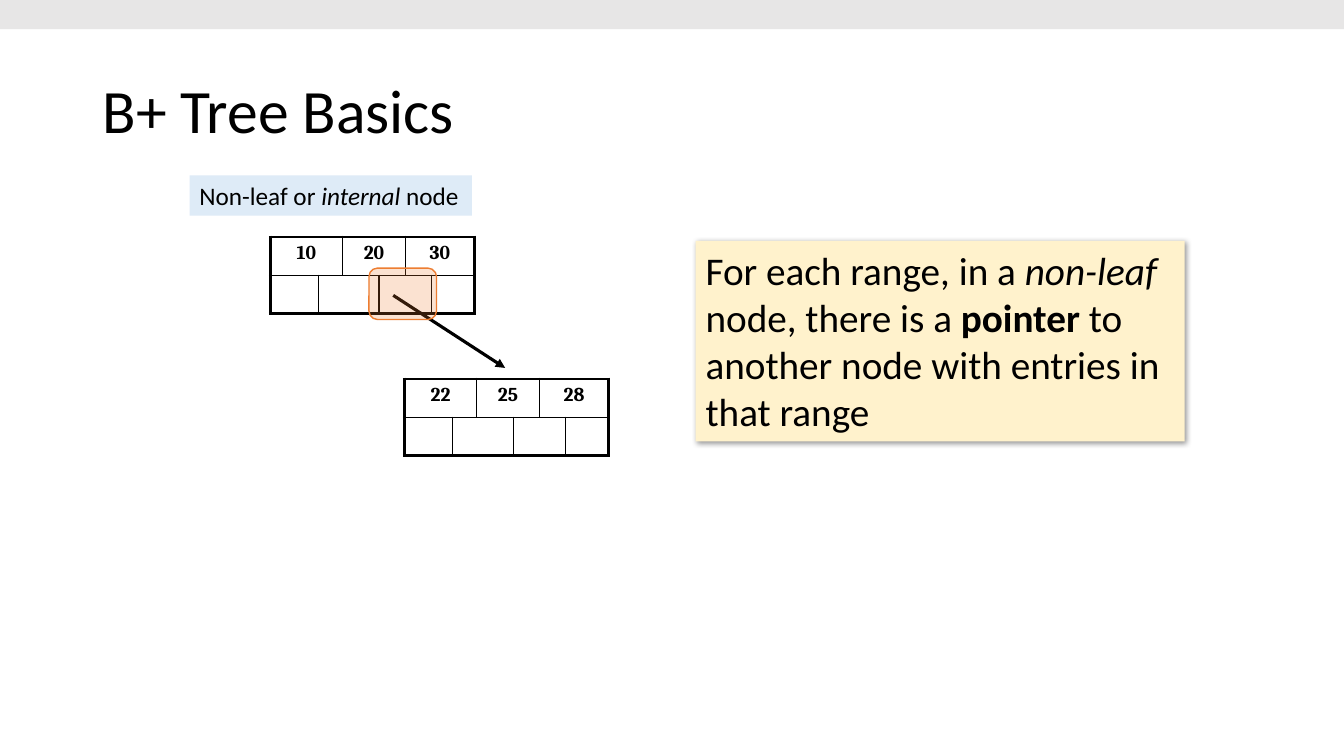
"""Build the B+ tree basics slide with two nodes and a pointer between them."""
from dataclasses import dataclass

from lxml import etree
from pptx import Presentation
from pptx.dml.color import RGBColor
from pptx.enum.shapes import MSO_CONNECTOR, MSO_SHAPE
from pptx.enum.text import MSO_ANCHOR, PP_ALIGN
from pptx.oxml.ns import qn
from pptx.util import Inches, Pt

STRAIGHT = MSO_CONNECTOR.STRAIGHT
RECTANGLE = MSO_SHAPE.RECTANGLE
ROUNDED = MSO_SHAPE.ROUNDED_RECTANGLE
MIDDLE = MSO_ANCHOR.MIDDLE
TOP = MSO_ANCHOR.TOP
LEFT = PP_ALIGN.LEFT
CENTER = PP_ALIGN.CENTER

COLORS = {
    "ink": "000000",
    "label": "DEEBF7",
    "highlight": "ED7D31",
    "callout": "FFF2CC",
    "bar": "E7E6E6",
}
COLUMN_WIDTHS = (0.48, 0.21, 0.36, 0.26, 0.26, 0.43)
ROW_HEIGHT = 0.38
KEY_SPANS = ((0, 1), (2, 3), (4, 5))
POINTER_SPANS = ((0, 0), (1, 2), (3, 4), (5, 5))
THIN, THICK = 1, 2.25


@dataclass(frozen=True)
class Span:
    text: str
    bold: bool = False
    italic: bool = False


@dataclass(frozen=True)
class Box:
    left: float
    top: float
    width: float
    height: float
    fill: str | None = None
    line: str | None = None
    shape: int = RECTANGLE

    def lengths(self) -> tuple:
        return tuple(Inches(n) for n in (self.left, self.top, self.width, self.height))


@dataclass(frozen=True)
class Node:
    left: float
    top: float
    keys: tuple[str, ...]


ROOT = Node(2.68, 2.35, ("10", "20", "30"))
CHILD = Node(4.01, 3.76, ("22", "25", "28"))
TITLE = Box(0.92, 0.4, 11.5, 1.45)
LABEL = Box(1.88, 1.74, 2.8, 0.4, "label")
HIGHLIGHT = Box(3.66, 2.66, 0.67, 0.51, "highlight", "highlight", ROUNDED)
CALLOUT = Box(6.9, 2.39, 4.85, 1.99, "callout")
BAR = Box(0, 0, 13.33, 0.29, "bar")


def rgb(name: str) -> RGBColor:
    return RGBColor.from_string(COLORS[name])


def write_text(frame, spans: tuple[Span, ...], *, size: float, font: str = "Calibri",
               align=LEFT, anchor=TOP, wrap: bool = True, spacing: float = 1.0) -> None:
    frame.word_wrap = wrap
    frame.vertical_anchor = anchor
    para = frame.paragraphs[0]
    para.alignment = align
    para.line_spacing = spacing
    for span in spans:
        run = para.add_run()
        run.text = span.text
        run.font.size = Pt(size)
        run.font.name = font
        run.font.bold = span.bold
        run.font.italic = span.italic
        run.font.color.rgb = rgb("ink")


def add_box(page, box: Box):
    shape = page.shapes.add_shape(box.shape, *box.lengths())
    shape.shadow.inherit = False
    shape.fill.solid()
    shape.fill.fore_color.rgb = rgb(box.fill)
    if box.line:
        shape.line.color.rgb = rgb(box.line)
        shape.line.width = Pt(THIN)
    else:
        shape.line.fill.background()
    return shape


def set_alpha(color, percent: int) -> None:
    etree.SubElement(color, qn("a:alpha"), val=str(percent * 1000))


def add_shadow(shape) -> None:
    effects = shape._element.spPr.find(qn("a:effectLst"))
    shadow = etree.SubElement(effects, qn("a:outerShdw"), blurRad=str(Pt(4)),
                              dist=str(Pt(1)), dir=str(45 * 60000))
    set_alpha(etree.SubElement(shadow, qn("a:srgbClr"), val=COLORS["ink"]), 40)


def set_borders(cell, widths: dict[str, float]) -> None:
    properties = cell._tc.get_or_add_tcPr()
    for side, width in widths.items():
        line = etree.SubElement(properties, qn(f"a:ln{side}"), w=str(Pt(width)))
        fill = etree.SubElement(line, qn("a:solidFill"))
        etree.SubElement(fill, qn("a:srgbClr"), val=COLORS["ink"])


def add_node(page, node: Node) -> None:
    last_column = len(COLUMN_WIDTHS) - 1
    area = Box(node.left, node.top, sum(COLUMN_WIDTHS), 2 * ROW_HEIGHT)
    table = page.shapes.add_table(2, len(COLUMN_WIDTHS), *area.lengths()).table
    table.first_row = table.horz_banding = False
    for column, width in zip(table.columns, COLUMN_WIDTHS):
        column.width = Inches(width)
    for row_index, spans in enumerate((KEY_SPANS, POINTER_SPANS)):
        table.rows[row_index].height = Inches(ROW_HEIGHT)
        for first, last in spans:
            widths = {
                "L": THICK if first == 0 else THIN,
                "R": THICK if last == last_column else THIN,
                "T": THICK if row_index == 0 else THIN,
                "B": THICK if row_index == 1 else THIN,
            }
            for column_index in range(first, last + 1):
                cell = table.cell(row_index, column_index)
                cell.margin_bottom = 0
                set_borders(cell, {side: width for side, width in widths.items()
                                   if side != "L" or column_index == first})
                cell.fill.background()
            if last > first:
                table.cell(row_index, first).merge(table.cell(row_index, last))
    for (first, _), key in zip(KEY_SPANS, node.keys):
        write_text(table.cell(0, first).text_frame, (Span(key, bold=True),),
                   size=14, font="Cambria", align=CENTER)


def add_pointer(page) -> None:
    ends = (Inches(n) for n in (3.9, 2.93, 5.01, 3.65))
    pointer = page.shapes.add_connector(STRAIGHT, *ends)
    pointer.line.color.rgb = rgb("ink")
    pointer.line.width = Pt(THICK)
    etree.SubElement(pointer.line._get_or_add_ln(), qn("a:tailEnd"), type="triangle")
    etree.SubElement(pointer._element.spPr, qn("a:effectLst"))


def main() -> None:
    deck = Presentation()
    deck.slide_width, deck.slide_height = Inches(13.33), Inches(7.5)
    page = deck.slides.add_slide(deck.slide_layouts[6])

    title = page.shapes.add_textbox(*TITLE.lengths())
    write_text(title.text_frame, (Span("B+ Tree Basics"),), size=44,
               anchor=MIDDLE, spacing=0.9)
    add_node(page, ROOT)
    add_pointer(page)
    label = add_box(page, LABEL)
    write_text(label.text_frame, (Span("Non-leaf or "), Span("internal ", italic=True),
                                  Span("node")), size=18, wrap=False)
    highlight = add_box(page, HIGHLIGHT)
    set_alpha(highlight._element.spPr.find(qn("a:solidFill"))[0], 22)
    add_node(page, CHILD)
    callout = add_box(page, CALLOUT)
    add_shadow(callout)
    write_text(callout.text_frame, (
        Span("For each range, in a "), Span("non-leaf ", italic=True),
        Span("node, there is a "), Span("pointer", bold=True),
        Span(" to another node with entries in that range")), size=28)
    add_box(page, BAR)
    deck.save("out.pptx")


if __name__ == "__main__":
    main()
